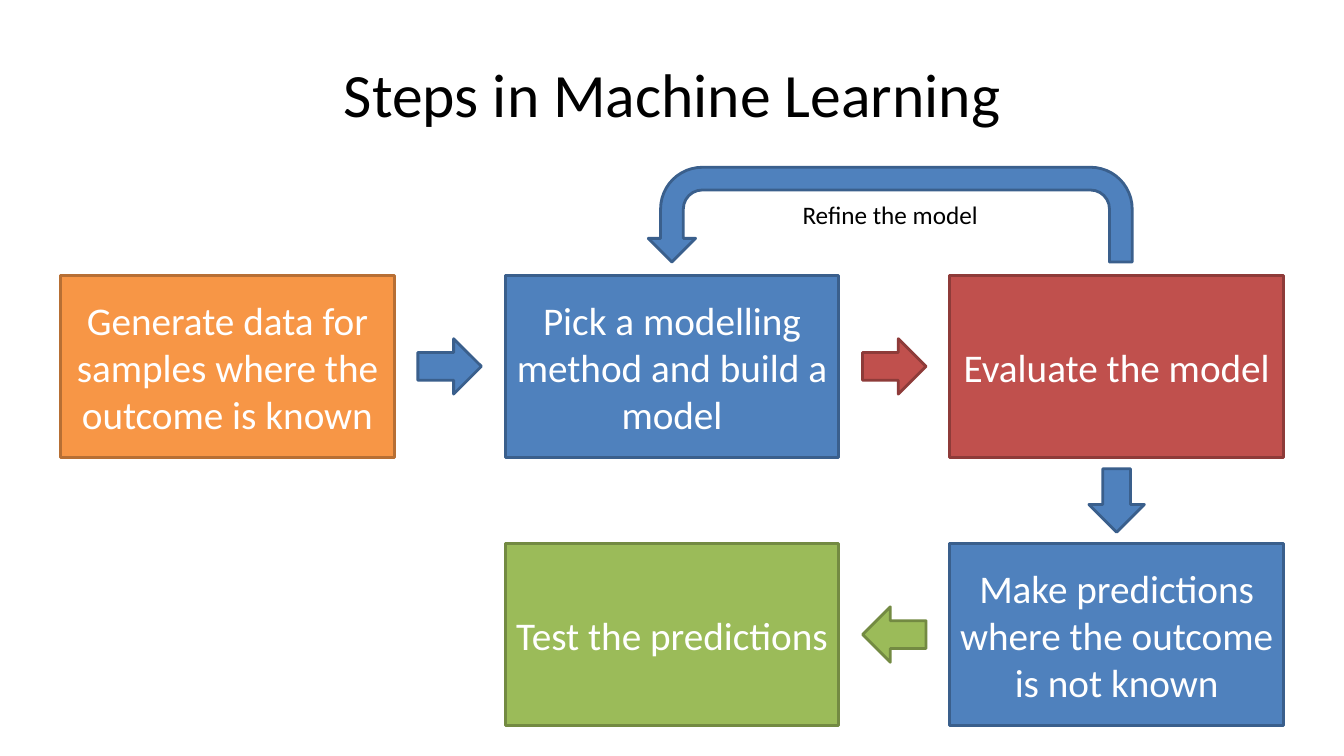
"""Build the slide that shows the steps in machine learning."""
from dataclasses import dataclass
from math import atan2, degrees

from pptx import Presentation
from pptx.dml.color import RGBColor
from pptx.enum.shapes import MSO_SHAPE
from pptx.enum.text import MSO_ANCHOR, PP_ALIGN
from pptx.oxml.ns import qn
from pptx.util import Inches, Pt

RECT = MSO_SHAPE.RECTANGLE
ARROW = MSO_SHAPE.RIGHT_ARROW
U_TURN = MSO_SHAPE.U_TURN_ARROW
CENTER = PP_ALIGN.CENTER
MIDDLE = MSO_ANCHOR.MIDDLE

BLACK = RGBColor(0x00, 0x00, 0x00)
WHITE = RGBColor(0xFF, 0xFF, 0xFF)
ORANGE = RGBColor(0xF7, 0x96, 0x46)
ORANGE_EDGE = RGBColor(0xB7, 0x6F, 0x34)
BLUE = RGBColor(0x4F, 0x81, 0xBD)
BLUE_EDGE = RGBColor(0x3A, 0x5F, 0x8C)
RED = RGBColor(0xC0, 0x50, 0x4D)
RED_EDGE = RGBColor(0x8E, 0x3B, 0x39)
GREEN = RGBColor(0x9B, 0xBB, 0x59)
GREEN_EDGE = RGBColor(0x73, 0x8A, 0x42)

FONT = "Calibri"
LEFT, TOP = 0.6, 2.73
COL_STEP, ROW_STEP = 4.41, 2.66
BOX_W, BOX_H = 3.31, 1.81
ARROW_W, ARROW_H = 0.63, 0.55


@dataclass
class Step:
    text: str
    col: int
    row: int
    fill: RGBColor
    edge: RGBColor

    @property
    def left(self) -> float:
        return LEFT + self.col * COL_STEP

    @property
    def top(self) -> float:
        return TOP + self.row * ROW_STEP


STEPS = [
    Step("Generate data for samples where the outcome is known", 0, 0, ORANGE, ORANGE_EDGE),
    Step("Pick a modelling method and build a model", 1, 0, BLUE, BLUE_EDGE),
    Step("Evaluate the model", 2, 0, RED, RED_EDGE),
    Step("Make predictions where the outcome is not known", 2, 1, BLUE, BLUE_EDGE),
    Step("Test the predictions", 1, 1, GREEN, GREEN_EDGE),
]


def write(sp, text: str, *, size: int, color: RGBColor) -> None:
    tf = sp.text_frame
    tf.word_wrap = True
    tf.vertical_anchor = MIDDLE
    p = tf.paragraphs[0]
    p.alignment = CENTER
    r = p.add_run()
    r.text = text
    r.font.name = FONT
    r.font.size = Pt(size)
    r.font.color.rgb = color


def add_block(s, kind, left: float, top: float, width: float, height: float,
              fill: RGBColor, edge: RGBColor):
    sp = s.shapes.add_shape(kind, Inches(left), Inches(top), Inches(width), Inches(height))
    sp.shadow.inherit = False
    sp.fill.solid()
    sp.fill.fore_color.rgb = fill
    sp.line.color.rgb = edge
    sp.line.width = Pt(2)
    return sp


def add_step(s, step: Step) -> None:
    sp = add_block(s, RECT, step.left, step.top, BOX_W, BOX_H, step.fill, step.edge)
    write(sp, step.text, size=28, color=WHITE)


def add_arrow(s, start: Step, end: Step) -> None:
    left = (start.left + end.left + BOX_W - ARROW_W) / 2
    top = (start.top + end.top + BOX_H - ARROW_H) / 2
    sp = add_block(s, ARROW, left, top, ARROW_W, ARROW_H, end.fill, end.edge)
    sp.rotation = degrees(atan2(end.row - start.row, end.col - start.col))


def add_refine_loop(s) -> None:
    sp = add_block(s, U_TURN, 6.43, 1.66, 4.8, 0.94, BLUE, BLUE_EDGE)
    for i, value in enumerate((0.24, 0.25, 0.25, 0.44, 1)):
        sp.adjustments[i] = value
    sp._element.spPr.find(qn("a:xfrm")).set("flipH", "1")
    write(sp, "Refine the model", size=18, color=BLACK)


def main() -> None:
    prs = Presentation()
    prs.slide_width, prs.slide_height = Inches(13.33), Inches(7.5)
    s = prs.slides.add_slide(prs.slide_layouts[5])
    title = s.shapes.title
    title.left, title.top = Inches(0.67), Inches(0.3)
    title.width, title.height = Inches(12), Inches(1.25)
    write(title, "Steps in Machine Learning", size=44, color=BLACK)
    for step in STEPS:
        add_step(s, step)
    for start, end in zip(STEPS, STEPS[1:]):
        add_arrow(s, start, end)
    add_refine_loop(s)
    prs.save("out.pptx")


if __name__ == "__main__":
    main()
